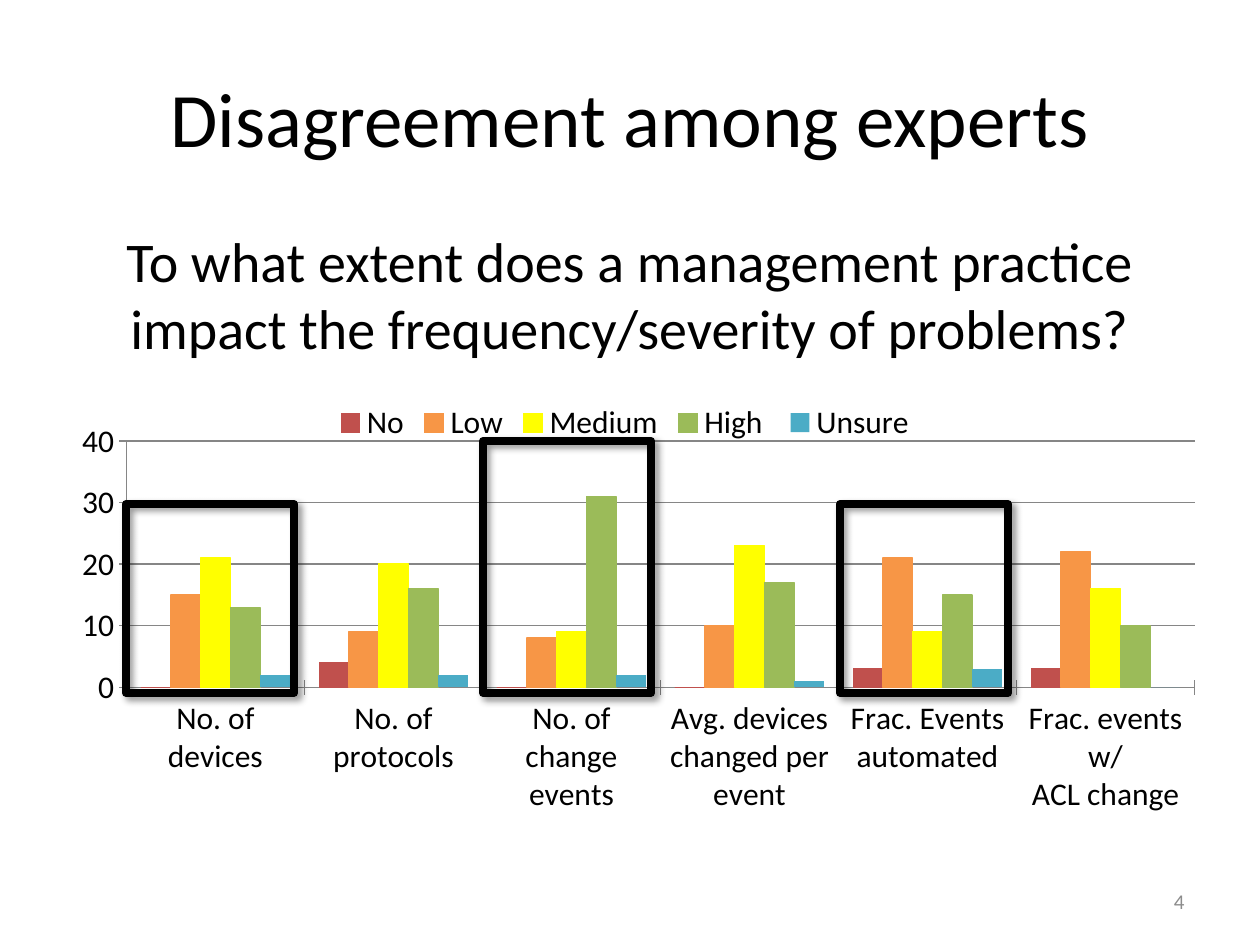
import lxml.etree
import pptx
import pptx.chart.data
import pptx.dml.color
import pptx.enum.chart
import pptx.enum.shapes
import pptx.enum.text
import pptx.oxml
import pptx.oxml.ns
import pptx.util

FONT = "Calibri"
COLORS = {
    "text": "000000", "number": "8C8C8C", "axis": "868686", "frame": "000000",
    "No": "C0504D", "Low": "F79646", "Medium": "FFFF00", "High ": "9BBB59", "Unsure": "4BACC6",
}
RGB = {name: pptx.dml.color.RGBColor.from_string(value) for name, value in COLORS.items()}
ALIGN = pptx.enum.text.PP_ALIGN
ANCHOR = pptx.enum.text.MSO_ANCHOR

presentation = pptx.Presentation()
presentation.slide_width = pptx.util.Inches(10)
presentation.slide_height = pptx.util.Inches(7.5)
slide = presentation.slides.add_slide(presentation.slide_layouts[6])
column = presentation.slide_width / 10
row = presentation.slide_height / 7.5


def place(left, top, width, height):
    """Turn grid columns and rows into slide lengths."""
    return int(left * column), int(top * row), int(width * column), int(height * row)


def add_text(text, box, size, color="text", align=ALIGN.CENTER, anchor=ANCHOR.MIDDLE):
    frame = slide.shapes.add_textbox(*place(*box)).text_frame
    frame.word_wrap = True
    frame.vertical_anchor = anchor
    paragraph = frame.paragraphs[0]
    paragraph.text = text
    paragraph.alignment = align
    paragraph.font.name = FONT
    paragraph.font.size = pptx.util.Pt(size)
    paragraph.font.color.rgb = RGB[color]


add_text("Disagreement among experts", (0.5, 0.3, 9, 1.25), 44)
add_text("To what extent does a management practice impact the frequency/severity of problems?",
         (0.5, 1.75, 9, 4.95), 32, anchor=ANCHOR.TOP)
add_text("4", (7.17, 6.95, 2.33, 0.4), 12, color="number", align=ALIGN.RIGHT)

# Survey answers for each management practice
data = pptx.chart.data.CategoryChartData()
data.categories = [
    "No. of\ndevices", "No. of\nprotocols", "No. of change\nevents",
    "Avg. devices\nchanged per event", "Frac. Events\nautomated", "Frac. events w/\nACL change",
]
answers = {
    "No": (0, 4, 0, 0, 3, 3),
    "Low": (15, 9, 8, 10, 21, 22),
    "Medium": (21, 20, 9, 23, 9, 16),
    "High ": (13, 16, 31, 17, 15, 10),
    "Unsure": (2, 2, 2, 1, 3, 0),
}
for answer, values in answers.items():
    data.add_series(answer, values)
chart = slide.shapes.add_chart(pptx.enum.chart.XL_CHART_TYPE.COLUMN_CLUSTERED,
                               *place(0.25, 3.08, 9.42, 3.83), data).chart
chart.has_title = False
chart.font.name = FONT
chart.font.size = pptx.util.Pt(18)
chart.font.color.rgb = RGB["text"]
chart.has_legend = True
chart.legend.position = pptx.enum.chart.XL_LEGEND_POSITION.TOP
chart.legend.include_in_layout = False

plot = chart.plots[0]
plot.gap_width = 100
plot.overlap = 0
plot.vary_by_categories = False
for series in plot.series:
    series.invert_if_negative = False
    series.format.fill.solid()
    series.format.fill.fore_color.rgb = RGB[series.name]
    if series.name != "Unsure":
        series.format.line.color.rgb = RGB[series.name]
        series.format.line.width = pptx.util.Pt(0.75)

value_axis = chart.value_axis
value_axis.minimum_scale, value_axis.maximum_scale, value_axis.major_unit = 0, 40, 10
value_axis.has_major_gridlines = True
for axis in (chart.category_axis, value_axis):
    axis.major_tick_mark = pptx.enum.chart.XL_TICK_MARK.CROSS
    axis.tick_labels.font.size = pptx.util.Pt(18)
for part in (chart.category_axis, value_axis, value_axis.major_gridlines):
    part.format.line.color.rgb = RGB["axis"]
    part.format.line.width = pptx.util.Pt(0.75)

# Fixed inner plot area, as shares of the chart
plot_area = plot._element.getparent()
for old_layout in plot_area.findall(pptx.oxml.ns.qn("c:layout")):
    plot_area.remove(old_layout)
shares = "".join(f'<c:{tag} val="{share}"/>' for tag, share in
                 (("x", 0.08), ("y", 0.11), ("w", 0.9), ("h", 0.51)))
plot_area.insert(0, pptx.oxml.parse_xml(
    f'<c:layout {pptx.oxml.ns.nsdecls("c")}><c:manualLayout><c:layoutTarget val="inner"/>'
    f'<c:xMode val="edge"/><c:yMode val="edge"/>{shares}</c:manualLayout></c:layout>'))

# Frames around every second practice, all standing on the same line
FRAME_BOTTOM = 5.5
for index, height in ((1, 2), (0, 1.5), (2, 1.5)):
    frame = slide.shapes.add_shape(
        pptx.enum.shapes.MSO_SHAPE.ROUNDED_RECTANGLE,
        *place(1 + index * 17 / 6, FRAME_BOTTOM - height, 4 / 3, height))
    frame.adjustments[0] = 0
    frame.fill.background()
    frame.line.color.rgb = RGB["frame"]
    frame.line.width = pptx.util.Pt(4.5)
    frame.shadow.inherit = False
    effects = frame._element.spPr.find(pptx.oxml.ns.qn("a:effectLst"))
    effects.append(pptx.oxml.parse_xml(
        f'<a:outerShdw {pptx.oxml.ns.nsdecls("a")} blurRad="{pptx.util.Pt(4)}" '
        f'dist="{pptx.util.Pt(3)}" dir="2700000" algn="tl" rotWithShape="0">'
        f'<a:srgbClr val="{COLORS["frame"]}"><a:alpha val="40000"/></a:srgbClr></a:outerShdw>'))

presentation.save("out.pptx")
